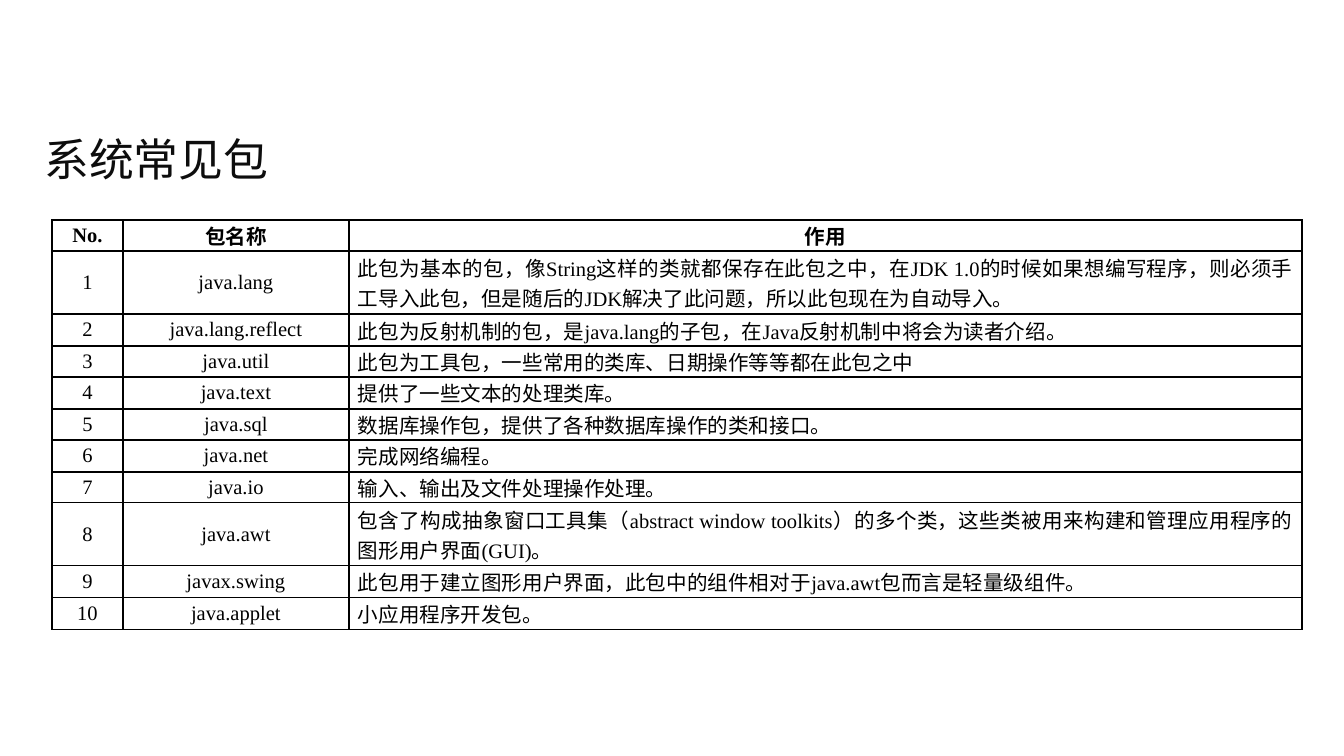
import pptx
import pptx.dml.color
import pptx.enum.text
import pptx.oxml
import pptx.oxml.ns
import pptx.util

SCALE = 6804
INK = pptx.dml.color.RGBColor(0x0D, 0x0D, 0x0D)
BLACK = pptx.dml.color.RGBColor(0, 0, 0)
HAN = "Noto Sans CJK SC"
ALIGN = pptx.enum.text.PP_ALIGN
MIDDLE = pptx.enum.text.MSO_ANCHOR.MIDDLE

TITLE = {"name": HAN, "size": pptx.util.Pt(24), "color": INK}
BODY = {"name": "Times New Roman", "size": pptx.util.Pt(11),
        "color": BLACK, "bold": False}
HEAD = {**BODY, "bold": True}

COLS = [71, 226, 953]
LINE_COUNT = [1, 2, 1, 1, 1, 1, 1, 1, 2, 1, 1]
HIGH = 410
LABELS = ["No.", "包名称", "作用"]
PACKS = [
    ("java.lang", "此包为基本的包，像String这样的类就都保存在此包之中，在JDK 1.0的时候如果想编写程序，则必须手工导入此包，但是随后的JDK解决了此问题，所以此包现在为自动导入。"),
    ("java.lang.reflect", "此包为反射机制的包，是java.lang的子包，在Java反射机制中将会为读者介绍。"),
    ("java.util", "此包为工具包，一些常用的类库、日期操作等等都在此包之中"),
    ("java.text", "提供了一些文本的处理类库。"),
    ("java.sql", "数据库操作包，提供了各种数据库操作的类和接口。"),
    ("java.net", "完成网络编程。"),
    ("java.io", "输入、输出及文件处理操作处理。"),
    ("java.awt", "包含了构成抽象窗口工具集（abstract window toolkits）的多个类，这些类被用来构建和管理应用程序的图形用户界面(GUI)。"),
    ("javax.swing", "此包用于建立图形用户界面，此包中的组件相对于java.awt包而言是轻量级组件。"),
    ("java.applet", "小应用程序开发包。"),
]


def px(count):
    return pptx.util.Emu(count * SCALE)


def write(frame, text, style, align):
    para = frame.paragraphs[0]
    para.alignment = align
    run = para.add_run()
    run.text = text
    for key, value in style.items():
        if key == "color":
            run.font.color.rgb = value
        else:
            setattr(run.font, key, value)
    east = pptx.oxml.parse_xml(
        f'<a:ea {pptx.oxml.ns.nsdecls("a")} typeface="{HAN}"/>')
    run.font._element.append(east)


def add_title(slide, text):
    box = slide.shapes.add_textbox(px(31), px(116), px(1281), px(86))
    frame = box.text_frame
    frame.word_wrap = True
    frame.vertical_anchor = MIDDLE
    write(frame, text, TITLE, ALIGN.LEFT)


def add_border(cell):
    props = cell._tc.get_or_add_tcPr()
    for place, side in enumerate("LRTB"):
        line = pptx.oxml.parse_xml(
            f'<a:ln{side} {pptx.oxml.ns.nsdecls("a")} w="12700">'
            f'<a:solidFill><a:srgbClr val="{BLACK}"/></a:solidFill>'
            f'</a:ln{side}>')
        props.insert(place, line)


def fill_cell(cell, text, style, align):
    form = {"margin_left": px(9), "margin_right": px(9), "margin_top": 0,
            "margin_bottom": 0, "vertical_anchor": MIDDLE}
    for key, value in form.items():
        setattr(cell, key, value)
    cell.fill.background()
    add_border(cell)
    write(cell.text_frame, text, style, align)


def add_grid(slide, rows):
    frame = slide.shapes.add_table(
        len(rows), len(COLS), px(52), px(220), px(sum(COLS)), px(HIGH))
    table = frame.table
    for col, width in zip(table.columns, COLS):
        col.width = px(width)
    total = sum(LINE_COUNT)
    done = 0
    for row, count in zip(table.rows, LINE_COUNT):
        top = HIGH * done // total
        done += count
        row.height = px(HIGH * done // total - top)
    for r, texts in enumerate(rows):
        for c, text in enumerate(texts):
            align = ALIGN.JUSTIFY if r and c == 2 else ALIGN.CENTER
            fill_cell(table.cell(r, c), text, BODY if r else HEAD, align)


def main():
    deck = pptx.Presentation()
    deck.slide_width = px(1344)
    deck.slide_height = px(756)
    slide = deck.slides.add_slide(deck.slide_layouts[6])
    add_title(slide, "系统常见包")
    rows = [(str(n), *pack) for n, pack in enumerate(PACKS, 1)]
    add_grid(slide, [LABELS, *rows])
    deck.save("out.pptx")


if __name__ == "__main__":
    main()
